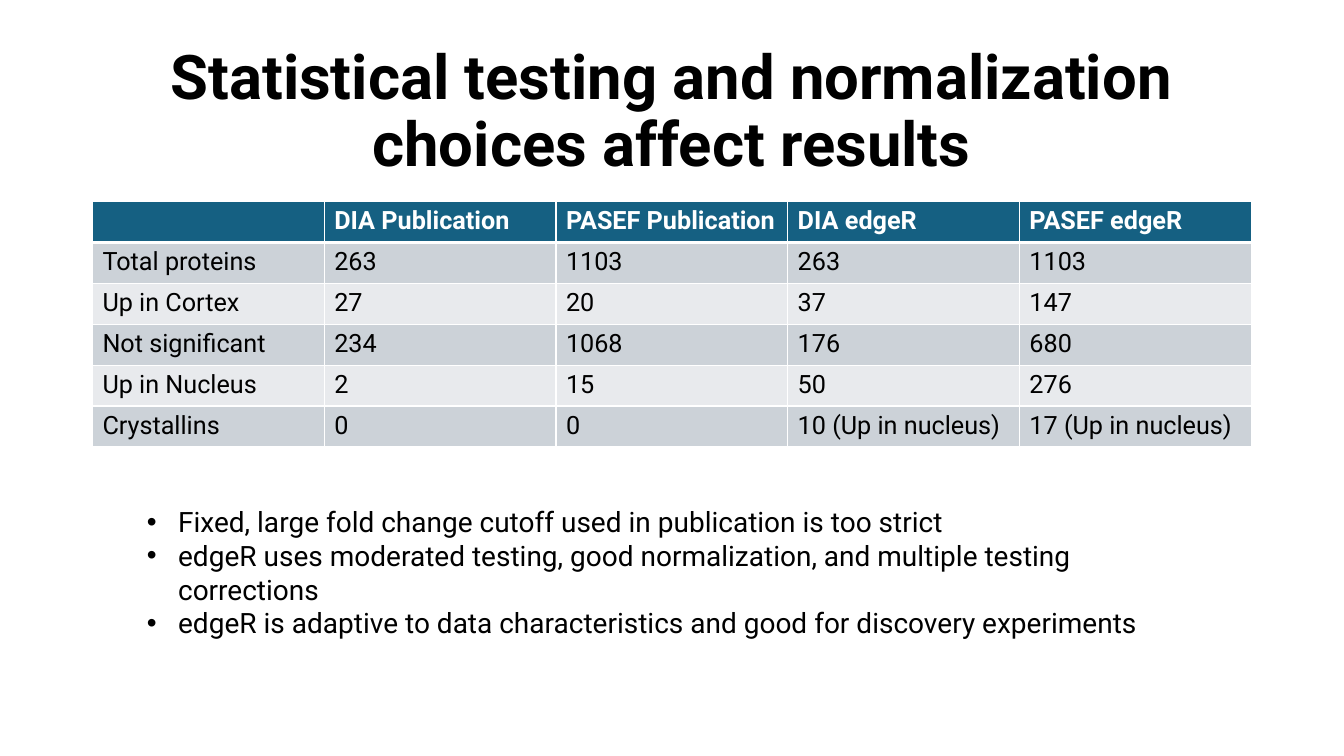
import pptx
import pptx.dml.color
import pptx.enum.text
import pptx.oxml
import pptx.oxml.ns
import pptx.util
from pptx.util import Cm

BLACK = pptx.dml.color.RGBColor(0x00, 0x00, 0x00)
WHITE = pptx.dml.color.RGBColor(0xFF, 0xFF, 0xFF)
HEADER_BLUE = pptx.dml.color.RGBColor(0x15, 0x60, 0x82)
BAND_DARK = pptx.dml.color.RGBColor(0xCC, 0xD2, 0xD8)
BAND_LIGHT = pptx.dml.color.RGBColor(0xE8, 0xEA, 0xED)
NAMESPACE = pptx.oxml.ns.nsdecls("a")


def write_text(paragraph, text, size=18, color=BLACK, bold=False, align=None):
    paragraph.alignment = align
    run = paragraph.add_run()
    run.text = text
    run.font.name = "Roboto"
    run.font.size = pptx.util.Pt(size)
    run.font.bold = bold
    run.font.color.rgb = color


def add_border(cell, side, points):
    cell._tc.get_or_add_tcPr().append(pptx.oxml.parse_xml(
        f'<a:ln{side} {NAMESPACE} w="{pptx.util.Pt(points)}"><a:solidFill>'
        f'<a:srgbClr val="{WHITE}"/></a:solidFill></a:ln{side}>'))


presentation = pptx.Presentation()
presentation.slide_width = Cm(33.87)
presentation.slide_height = Cm(19.05)
slide = presentation.slides.add_slide(presentation.slide_layouts[5])

title = slide.shapes.title
title.left, title.top, title.width, title.height = Cm(2.33), Cm(1.01), Cm(29.21), Cm(3.68)
title.text_frame.word_wrap = True
title.text_frame.auto_size = pptx.enum.text.MSO_AUTO_SIZE.NONE
title.text_frame.vertical_anchor = pptx.enum.text.MSO_ANCHOR.MIDDLE
title_paragraph = title.text_frame.paragraphs[0]
title_paragraph.line_spacing = 0.9
write_text(title_paragraph, "Statistical testing and normalization choices affect results",
           size=44, bold=True, align=pptx.enum.text.PP_ALIGN.CENTER)

results = [
    ["", "DIA Publication", "PASEF Publication", "DIA edgeR", "PASEF edgeR"],
    ["Total proteins", "263", "1103", "263", "1103"],
    ["Up in Cortex", "27", "20", "37", "147"],
    ["Not significant", "234", "1068", "176", "680"],
    ["Up in Nucleus", "2", "15", "50", "276"],
    ["Crystallins", "0", "0", "10 (Up in nucleus)", "17 (Up in nucleus)"],
]
table = slide.shapes.add_table(len(results), len(results[0]),
                               Cm(2.33), Cm(5.08), Cm(29.21), Cm(6.18)).table
for column in table.columns:
    column.width = Cm(5.84)
for row_index, values in enumerate(results):
    table.rows[row_index].height = Cm(1.03)
    is_header = row_index == 0
    band = HEADER_BLUE if is_header else BAND_DARK if row_index % 2 else BAND_LIGHT
    for column_index, value in enumerate(values):
        cell = table.cell(row_index, column_index)
        add_border(cell, "L", 1)
        add_border(cell, "R", 1)
        add_border(cell, "T", 3 if row_index == 1 else 1)
        add_border(cell, "B", 3 if is_header else 1)
        cell.fill.solid()
        cell.fill.fore_color.rgb = band
        if value:
            write_text(cell.text_frame.paragraphs[0], value,
                       color=WHITE if is_header else BLACK, bold=is_header)

conclusions = [
    "Fixed, large fold change cutoff used in publication is too strict",
    "edgeR uses moderated testing, good normalization, and multiple testing corrections",
    "edgeR is adaptive to data characteristics and good for discovery experiments",
]
conclusion_box = slide.shapes.add_textbox(Cm(3.45), Cm(12.6), Cm(26.97), Cm(2.82))
text_frame = conclusion_box.text_frame
text_frame.word_wrap = True
for index, conclusion in enumerate(conclusions):
    paragraph = text_frame.add_paragraph() if index else text_frame.paragraphs[0]
    write_text(paragraph, conclusion, size=20)
    properties = paragraph._p.get_or_add_pPr()
    properties.set("marL", str(Cm(0.79)))
    properties.set("indent", str(-Cm(0.79)))
    properties.append(pptx.oxml.parse_xml(f'<a:buFont {NAMESPACE} typeface="Arial"/>'))
    properties.append(pptx.oxml.parse_xml(f'<a:buChar {NAMESPACE} char="•"/>'))

presentation.save("out.pptx")
